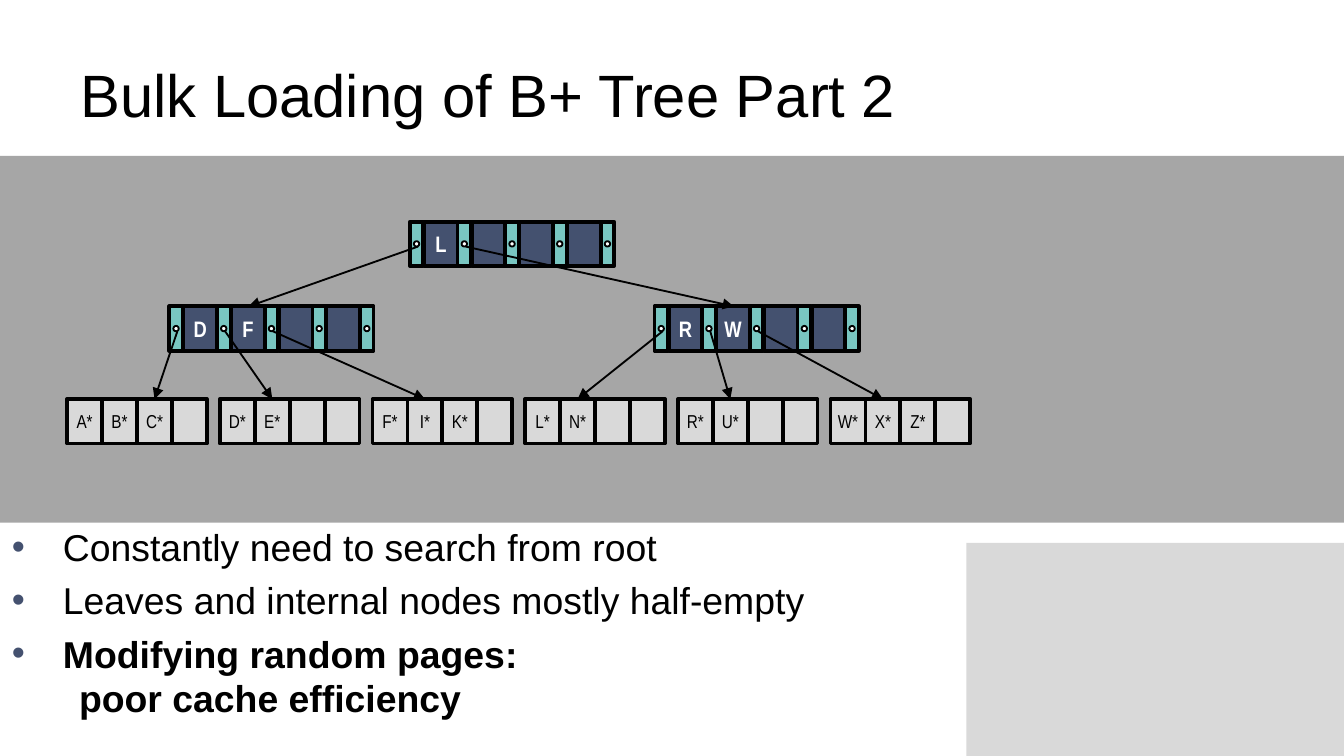
from dataclasses import dataclass

from lxml import etree
from pptx import Presentation
from pptx import util as u
from pptx.dml.color import RGBColor
from pptx.enum import shapes, text
from pptx.oxml.ns import qn

# Grid: 100 square columns across the slide, 56.25 rows down
COLS, ROWS = 100, 56.25
UNIT = u.Inches(10) / COLS

BLACK, WHITE = "000000", "FFFFFF"
NAVY, TEAL, LIGHT, GREY = "44516F", "79C6C1", "D9D9D9", "A6A6A6"

# Parts of the tree, in grid columns and rows
BOX_H = 3.3
SLOTS, POINTER_W, KEY_W, NODE_W = 4, 1, 2.5, 15.2
SLOT_PITCH = (NODE_W - POINTER_W) / SLOTS
DOT = 0.4
CELL_W, LEAF_CELLS = 2.6, 4
LEAF_X, LEAF_Y, LEAF_PITCH = 5, 29.7, 11.36


@dataclass
class Node:
    x: float
    y: float
    keys: str

    def pointer(self, i: int) -> tuple[float, float]:
        return self.x + 0.6 + i * SLOT_PITCH, self.y + 1.85

    def entry(self) -> tuple[float, float]:
        return self.x + 5.9, self.y


@dataclass
class Leaf:
    column: int
    keys: str
    target: int = 1  # cell that the incoming arrow points at

    def x(self) -> float:
        return LEAF_X + self.column * LEAF_PITCH

    def entry(self) -> tuple[float, float]:
        return self.x() + (self.target + 0.5) * CELL_W, LEAF_Y


def g(n: float) -> int:
    return round(n * UNIT)


def color(hex_code: str) -> RGBColor:
    return RGBColor.from_string(hex_code)


def style(font, size: float, name: str, hex_code: str, bold: bool = False) -> None:
    font.size, font.name, font.bold = u.Pt(size), name, bold
    font.color.rgb = color(hex_code)


def box(parent, x: float, y: float, w: float, h: float, fill: str,
        line: float = 0, kind=shapes.MSO_SHAPE.RECTANGLE):
    sp = parent.add_shape(kind, g(x), g(y), g(w), g(h))
    sp.shadow.inherit = False
    sp.fill.solid()
    sp.fill.fore_color.rgb = color(fill)
    if line:
        sp.line.color.rgb = color(BLACK)
        sp.line.width = u.Pt(line)
    else:
        sp.line.fill.background()
    return sp


def label(sp, words: str, size: float, hex_code: str, bold: bool = False) -> None:
    tf = sp.text_frame
    tf.margin_left = tf.margin_right = 0
    tf.vertical_anchor = text.MSO_ANCHOR.MIDDLE
    tf.text = words
    p = tf.paragraphs[0]
    p.alignment = text.PP_ALIGN.CENTER
    style(p.runs[0].font, size, "Arial Narrow", hex_code, bold)


def draw_node(s, node: Node) -> None:
    grp = s.shapes.add_group_shape().shapes
    for i in range(SLOTS + 1):
        x = node.x + i * SLOT_PITCH
        if i < SLOTS:
            key = box(grp, x + SLOT_PITCH - KEY_W, node.y, KEY_W, BOX_H, NAVY, 2)
            if i < len(node.keys):
                label(key, node.keys[i], 12, WHITE, True)
        box(grp, x, node.y, POINTER_W, BOX_H, TEAL, 2)
        box(grp, x + (POINTER_W - DOT) / 2, node.y + (BOX_H - DOT) / 2,
            DOT, DOT, WHITE, 1, shapes.MSO_SHAPE.OVAL)


def draw_leaf(s, leaf: Leaf) -> None:
    grp = s.shapes.add_group_shape().shapes
    for i in range(LEAF_CELLS):
        cell = box(grp, leaf.x() + i * CELL_W, LEAF_Y, CELL_W, BOX_H, LIGHT, 2)
        if i < len(leaf.keys):
            label(cell, leaf.keys[i] + "*", 10, BLACK)


def arrow(s, start: tuple[float, float], end: tuple[float, float]) -> None:
    c = s.shapes.add_connector(shapes.MSO_CONNECTOR.STRAIGHT,
                               *map(g, start), *map(g, end))
    c.line.color.rgb = color(BLACK)
    c.line.width = u.Pt(1)
    etree.SubElement(c.line._get_or_add_ln(), qn("a:tailEnd"), type="triangle")
    etree.SubElement(c._element.spPr, qn("a:effectLst"))


def textbox(s, x: float, y: float, w: float, h: float):
    tf = s.shapes.add_textbox(g(x), g(y), g(w), g(h)).text_frame
    tf.word_wrap = True
    return tf


def bullet(p) -> None:
    pPr = p._p.get_or_add_pPr()
    pPr.set("marL", str(g(3.8)))
    pPr.set("indent", str(-g(3.8)))
    clr = etree.SubElement(pPr, qn("a:buClr"))
    etree.SubElement(clr, qn("a:srgbClr"), val=NAVY)
    etree.SubElement(pPr, qn("a:buFont"), typeface="Arial")
    etree.SubElement(pPr, qn("a:buChar"), char="•")


ROOT = Node(30.5, 16.5, "L")
CHILDREN = [Node(12.6, 22.8, "DF"), Node(48.7, 22.8, "RW")]
LEAVES = [Leaf(0, "ABC", 2), Leaf(1, "DE"), Leaf(2, "FIK"),
          Leaf(3, "LN"), Leaf(4, "RU"), Leaf(5, "WXZ")]
FANOUT = 3
POINTS = [  # (words, bold)
    ("Constantly need to search from root", False),
    ("Leaves and internal nodes mostly half-empty", False),
    ("Modifying random pages:\v\tpoor cache efficiency", True),
]


def main() -> None:
    prs = Presentation()
    prs.slide_width, prs.slide_height = g(COLS), g(ROWS)
    s = prs.slides.add_slide(prs.slide_layouts[6])

    # Corner panel, title and diagram band
    box(s.shapes, 71.9, 40.4, COLS - 71.9, ROWS - 40.4, LIGHT)
    tf = textbox(s, 5, 2.3, 90, 9.4)
    tf.vertical_anchor = text.MSO_ANCHOR.MIDDLE
    tf.text = "Bulk Loading of B+ Tree Part 2"
    style(tf.paragraphs[0].runs[0].font, 32, "Arial", BLACK)
    box(s.shapes, 0, 11.6, COLS, 27.3, GREY)

    # Tree
    for node in [ROOT, *CHILDREN]:
        draw_node(s, node)
    for leaf in LEAVES:
        draw_leaf(s, leaf)
    for i, child in enumerate(CHILDREN):
        arrow(s, ROOT.pointer(i), child.entry())
    for i, leaf in enumerate(LEAVES):
        parent, slot = divmod(i, FANOUT)
        arrow(s, CHILDREN[parent].pointer(slot), leaf.entry())

    # Bullet points
    tf = textbox(s, -0.1, 38.5, 90, 18.4)
    for i, (words, bold) in enumerate(POINTS):
        p = tf.add_paragraph() if i else tf.paragraphs[0]
        p.text = words
        bullet(p)
        if i:
            p.space_before = u.Pt(4.6)
        for r in p.runs:
            style(r.font, 20, "Arial", BLACK, bold)

    prs.save("out.pptx")


if __name__ == "__main__":
    main()
